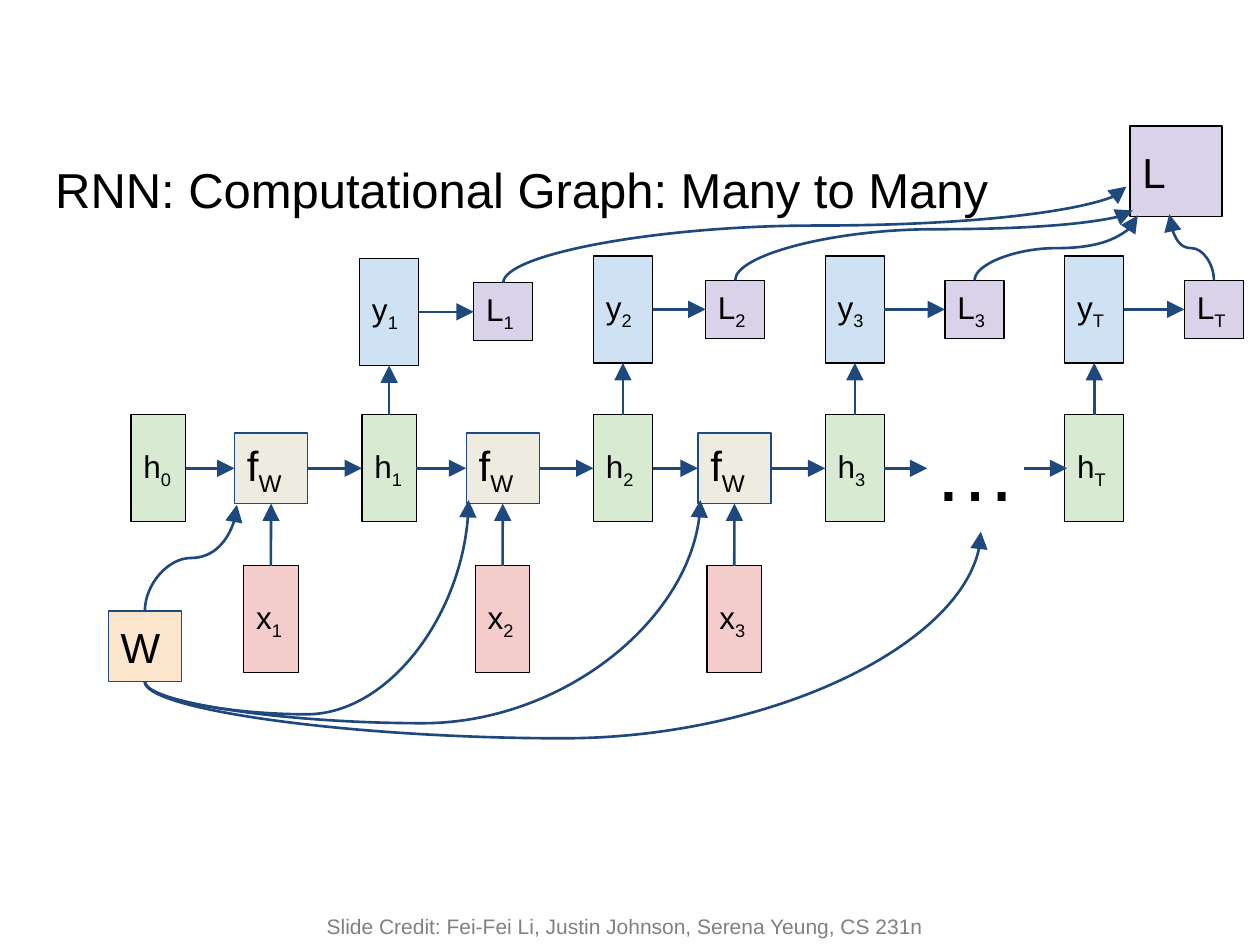
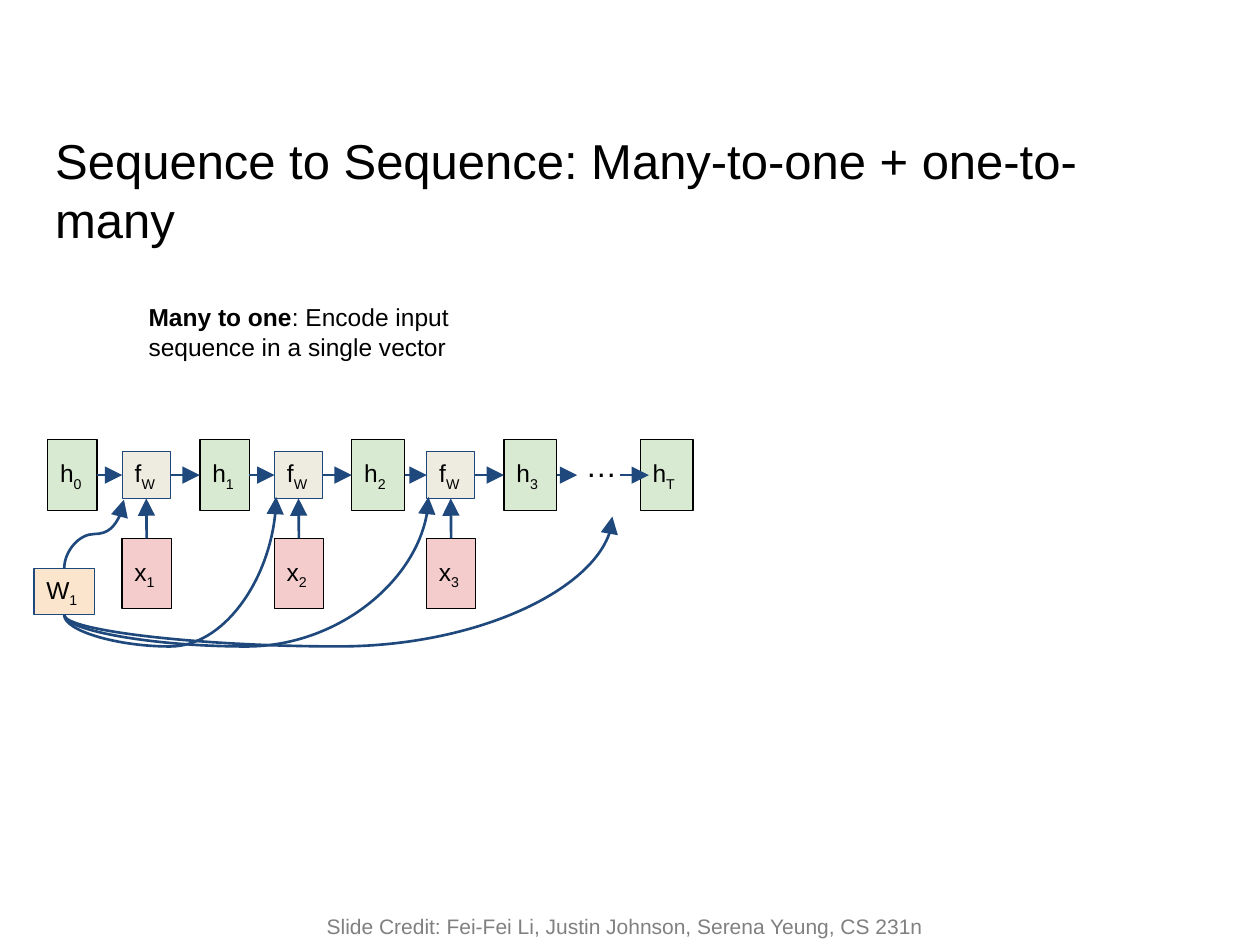
from dataclasses import dataclass

import pptx
import pptx.dml.color
import pptx.enum.shapes
import pptx.enum.text
import pptx.oxml.ns
import pptx.oxml.xmlchemy
import pptx.util
from lxml import etree

Pt = pptx.util.Pt
qn = pptx.oxml.ns.qn
Anchor = pptx.enum.text.MSO_ANCHOR
Align = pptx.enum.text.PP_ALIGN
Connector = pptx.enum.shapes.MSO_CONNECTOR

FONT = "Arial"
BLACK, GREY, NAVY = "000000", "808080", "1F497D"
GREEN, BEIGE, PINK = "D9EAD3", "EEECE1", "F4CCCC"
ORANGE, BLUE, PURPLE = "FCE5CD", "CFE2F3", "D9D2E9"
CREDIT = "Slide Credit: Fei-Fei Li, Justin Johnson, Serena Yeung, CS 231n"


@dataclass
class Chain:
    """Measures, in points, of a recurrent chain h0 → f → h1 … hT."""
    middle: float
    step: float
    state_lefts: tuple
    state_widths: tuple
    state_height: float
    cell_left: float
    cell_size: tuple
    input_left: float
    input_top: float
    weight_label: tuple
    weight_at: tuple
    size: int
    cell_font: int
    dots_at: tuple
    dots_font: int
    dots_gap: float
    last_arrow_start: float
    last_arrow_overlap: float
    curve_shift: tuple
    bends: tuple


def color(value):
    return pptx.dml.color.RGBColor.from_string(value)


def style(font, size, value=BLACK):
    font.name, font.size = FONT, Pt(size)
    font.color.rgb = color(value)


def text_box(slide, at, text, size, value=BLACK, anchor=Anchor.TOP, align=None, inset=7.2):
    """Add a wrapped text box; inset is the top and bottom margin."""
    shape = slide.shapes.add_textbox(*map(Pt, at))
    frame = shape.text_frame
    frame.word_wrap = True
    frame.vertical_anchor = anchor
    frame.margin_top = frame.margin_bottom = Pt(inset)
    paragraph = frame.paragraphs[0]
    paragraph.add_run().text = text
    paragraph.alignment = align
    style(paragraph.font, size, value)
    return paragraph


def node(slide, at, label, subscript, fill, size, line=BLACK):
    """Add a bordered box with a label and its subscript."""
    shape = slide.shapes.add_shape(
        pptx.enum.shapes.MSO_SHAPE.RECTANGLE, *map(Pt, at))
    shape.shadow.inherit = False
    shape.fill.solid()
    shape.fill.fore_color.rgb = color(fill)
    shape.line.color.rgb = color(line)
    shape.line.width = Pt(0.75)
    frame = shape.text_frame
    frame.word_wrap = True
    frame.vertical_anchor = Anchor.MIDDLE
    frame.margin_left = frame.margin_top = frame.margin_bottom = Pt(7.2)
    frame.margin_right = 0
    paragraph = frame.paragraphs[0]
    paragraph.alignment = Align.LEFT
    paragraph.add_run().text = label
    if subscript:
        run = paragraph.add_run()
        run.text = subscript
        run._r.get_or_add_rPr().set("baseline", "-25000")
    style(paragraph.font, size)
    return shape


def edge(shape, across, down, right=0, below=0):
    """Return the point at these fractions of a shape, shifted by points."""
    return (shape.left + int(shape.width * across) + Pt(right),
            shape.top + int(shape.height * down) + Pt(below))


def point(x, y):
    return Pt(x), Pt(y)


def finish_arrow(connector):
    connector.line.color.rgb = color(NAVY)
    connector.line.width = Pt(1.5)
    etree.SubElement(connector.line._get_or_add_ln(), qn("a:tailEnd"),
                     type="triangle", w="lg", len="lg")
    etree.SubElement(connector._element.spPr, qn("a:effectLst"))


def arrow(slide, start, end):
    finish_arrow(slide.shapes.add_connector(Connector.STRAIGHT, *start, *end))


def curve(slide, start, end, bend=None):
    """Add an S-shaped arrow that leaves and arrives vertically, turning at height bend."""
    (x1, y1), (x2, y2) = start, end
    bend = (y1 + y2) // 2 if bend is None else Pt(bend)
    width, height = abs(y2 - y1), abs(x2 - x1)
    left, top = (x1 + x2 - width) // 2, (y1 + y2 - height) // 2
    connector = slide.shapes.add_connector(
        Connector.CURVE, left, top, left + width, top + height)
    properties = connector._element.spPr
    frame = properties.find(qn("a:xfrm"))
    frame.set("rot", str((270 if x2 > x1 else 90) * 60000))
    if x2 < x1:
        frame.set("flipH", "1")
    geometry = properties.find(qn("a:prstGeom"))
    adjustments = geometry.find(qn("a:avLst"))
    if adjustments is None:
        adjustments = etree.SubElement(geometry, qn("a:avLst"))
    share = round(100000 * (y1 - bend) / (y1 - y2))
    etree.SubElement(adjustments, qn("a:gd"), name="adj1", fmla=f"val {share}")
    finish_arrow(connector)


def draw_chain(slide, chain):
    """Draw states, cells, inputs and weights, and return the states h0 … hT."""
    state_top = chain.middle - chain.state_height / 2
    states = [
        node(slide, (left, state_top, width, chain.state_height), "h", name, GREEN, chain.size)
        for left, width, name in zip(chain.state_lefts, chain.state_widths, "0123T")]
    cell_top = chain.middle - chain.cell_size[1] / 2
    cells = []
    for index in range(3):
        offset = index * chain.step
        cell = node(slide, (chain.cell_left + offset, cell_top, *chain.cell_size),
                    "f", "W", BEIGE, chain.cell_font, NAVY)
        entry = node(slide, (chain.input_left + offset, chain.input_top,
                             chain.state_widths[0], chain.state_height),
                     "x", str(index + 1), PINK, chain.size)
        arrow(slide, edge(entry, 0.5, 0), edge(cell, 0.5, 1))
        arrow(slide, edge(states[index], 1, 0.5), edge(cell, 0, 0.5))
        arrow(slide, edge(cell, 1, 0.5), edge(states[index + 1], 0, 0.5))
        cells.append(cell)

    left, top, width, height = chain.dots_at
    text_box(slide, chain.dots_at, "…", chain.dots_font)
    arrow(slide, edge(states[3], 1, 0.5), point(left + chain.dots_gap, chain.middle))
    arrow(slide, point(chain.last_arrow_start, chain.middle),
          edge(states[4], 0, 0.5, chain.last_arrow_overlap))

    weight = node(slide, chain.weight_at, *chain.weight_label, ORANGE, chain.cell_font, NAVY)
    right, below = chain.curve_shift
    curve(slide, edge(weight, 0.5, 0), edge(cells[0], 0, 1, right, 0.7))
    targets = [edge(cell, 0, 1, right, below) for cell in cells[1:]]
    targets.append(point(left + width / 2, top + height))
    for target, bend in zip(targets, chain.bends):
        curve(slide, edge(weight, 0.5, 1), target, bend)
    return states


def draw_losses(slide, states):
    """Draw outputs y and losses L above the states, joined into the total loss."""
    total = node(slide, (645.8, 72, 52.6, 51.8), "L", "", PURPLE, 24)
    tops = (147.6, 146.2, 146.2, 146.2)
    loss_lefts = (270.7, 403.2, 540, 676.8)
    targets = (edge(total, 0, 0.5, -2.1, 8.7), edge(total, 0, 1, 1.5, -3.6),
               edge(total, 0, 1, 4.4, -0.7), edge(total, 0, 1, 22.4, -1.4))
    bends = (128.9, 131, 141.8, 141.8)
    for state, name, top, loss_left, target, bend in zip(
            states, "123T", tops, loss_lefts, targets, bends):
        center = pptx.util.Emu(edge(state, 0.5, 0)[0]).pt
        output = node(slide, (center - 16.9, top, 33.8, 61.2), "y", name, BLUE, 18)
        loss = node(slide, (loss_left, top + 14, 33.8, 33.2), "L", name, PURPLE, 18)
        arrow(slide, edge(state, 0.5, 0), edge(output, 0.5, 1))
        arrow(slide, edge(output, 1, 0.5), edge(loss, 0, 0.5))
        curve(slide, edge(loss, 0.5, 0), target, bend)


def add_slide(presentation, title, title_width):
    """Add a blank slide with the shared title and credit line."""
    slide = presentation.slides.add_slide(presentation.slide_layouts[6])
    text_box(slide, (24.5, 74.2, title_width, 67.7), title, 28, anchor=Anchor.MIDDLE)
    text_box(slide, (144, 504, 426.2, 36), CREDIT, 12, GREY,
             Anchor.BOTTOM, Align.CENTER, inset=3.6)
    return slide


def main():
    presentation = pptx.Presentation()
    presentation.slide_width, presentation.slide_height = Pt(720), Pt(540)

    slide = add_slide(presentation, "RNN: Computational Graph: Many to Many", 648)
    states = draw_chain(slide, Chain(
        middle=267.6, step=132.4,
        state_lefts=(74.9, 206.8, 339.1, 471.6, 608.4),
        state_widths=(31.2, 31.2, 33.8, 33.8, 33.8), state_height=61.2,
        cell_left=134, cell_size=(41.8, 40.3), input_left=139.2, input_top=323.3,
        weight_label=("W", ""), weight_at=(61.9, 349.2, 41.8, 40.3),
        size=18, cell_font=24,
        dots_at=(526.3, 231.1, 68.4, 72.7), dots_font=48, dots_gap=3.6,
        last_arrow_start=585.4, last_arrow_overlap=1.4,
        curve_shift=(1.4, -2), bends=(408.2, 413.3, 421.9)))
    draw_losses(slide, states[1:])

    slide = add_slide(presentation, "Sequence to Sequence: Many-to-one + one-to-many", 664.6)
    draw_chain(slide, Chain(
        middle=271.5, step=87,
        state_lefts=(27.2, 114.2, 201, 288, 365.8),
        state_widths=(28.2, 28.2, 30.2, 30.2, 30.2), state_height=40.3,
        cell_left=69.9, cell_size=(27.4, 26.6), input_left=69.7, input_top=307.6,
        weight_label=("W", "1"), weight_at=(19.4, 324.8, 34.6, 26.6),
        size=14, cell_font=14,
        dots_at=(327.6, 247.7, 44.6, 47.5), dots_font=18, dots_gap=2.2,
        last_arrow_start=354.2, last_arrow_overlap=5,
        curve_shift=(0.9, -0.9), bends=(369.4, 369.4, 369.4)))
    caption = text_box(slide, (77.8, 165.6, 232.6, 51.8), "Many to one", 14)
    caption.runs[0].font.bold = True
    caption.add_run().text = ": Encode input sequence in a single vector"

    presentation.save("out.pptx")


if __name__ == "__main__":
    main()
